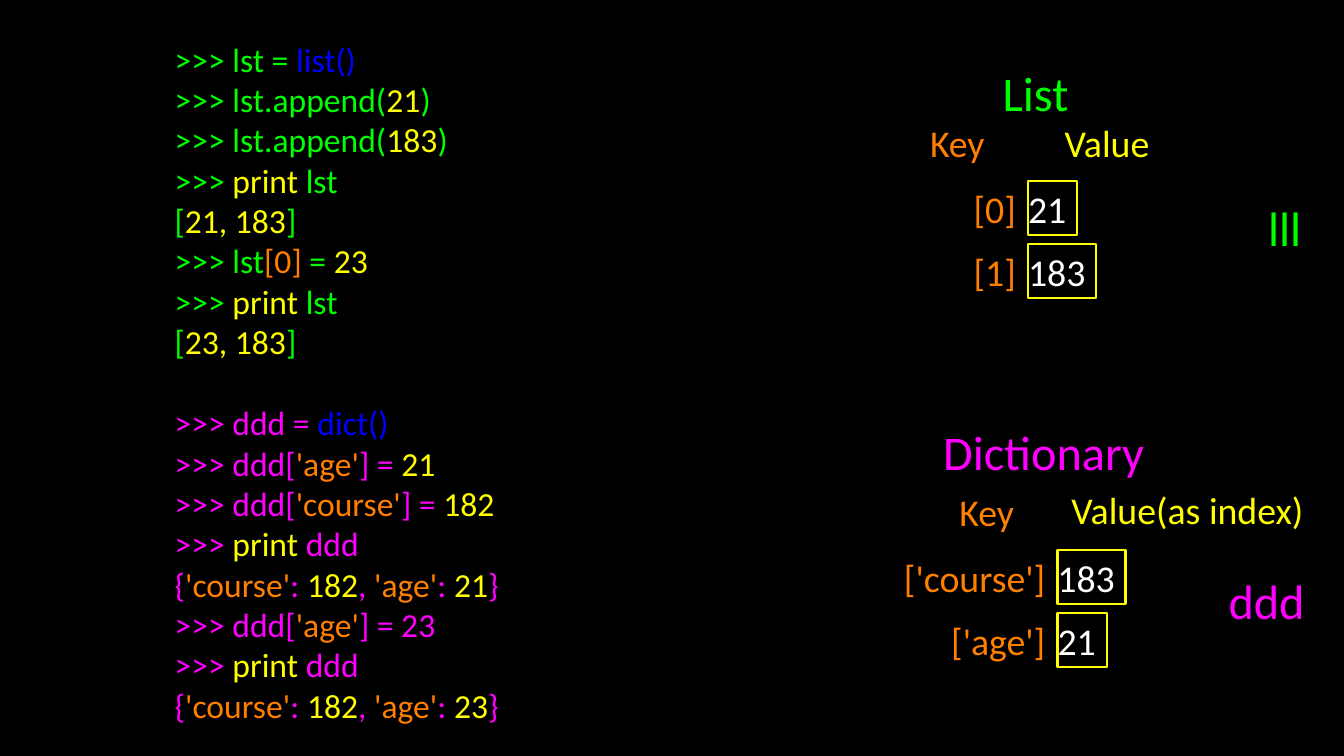
import pptx
import pptx.util
import pptx.dml.color
import pptx.enum.text
import pptx.enum.shapes

Inches = pptx.util.Inches
RGBColor = pptx.dml.color.RGBColor
ALIGN = pptx.enum.text.PP_ALIGN
LEFT, MID, RIGHT = ALIGN.LEFT, ALIGN.CENTER, ALIGN.RIGHT

BLACK = RGBColor(0, 0, 0)
WHITE = RGBColor(255, 255, 255)
GREEN = RGBColor(0, 255, 0)
BLUE = RGBColor(0, 0, 255)
YELLOW = RGBColor(255, 255, 0)
ORANGE = RGBColor(255, 127, 0)
PINK = RGBColor(255, 0, 255)
INKS = {"W": WHITE, "G": GREEN, "B": BLUE, "Y": YELLOW, "O": ORANGE, "P": PINK}

# Each run starts with the letter of its colour; "|" parts the runs.
LIST_CODE = [
    "G>>> lst =|B list()",
    "G>>> lst.append(|Y21|G)",
    "G>>> lst.append(|Y183|G)",
    "G>>> |Yprint|G lst",
    "G[|Y21, 183|G]",
    "G>>> lst|O[0]|G = |Y23",
    "G>>> |Yprint|G lst",
    "G[|Y23, 183|G]",
]
DICT_CODE = [
    "P>>> ddd = |Bdict()",
    "P>>> ddd[|O'age'|P] = |Y21",
    "P>>> ddd[|O'course'|P] = |Y182",
    "P>>> |Yprint|P ddd",
    "P{|O'course'|P: |Y182|P, |O'age'|P: |Y21|P}",
    "P>>> ddd[|O'age'|P] = 23",
    "P>>> |Yprint|P ddd",
    "P{|O'course'|P: |Y182|P, |O'age'|P: |Y23|P}",
]
CODES = [(LIST_CODE, (2.31, 0.49, 3.7, 4.31)), (DICT_CODE, (2.31, 5.3, 4.47, 4.31))]

# text, size, (left, top, width, height)
LABELS = [
    ("GList", 46, (13.18, 0.79, 1.04, 0.85)),
    ("OKey", 36, (12.23, 1.54, 0.87, 0.68)),
    ("YValue", 36, (14.04, 1.54, 1.21, 0.68)),
    ("Glll", 46, (16.72, 2.58, 0.55, 0.85)),
    ("PDictionary", 46, (12.37, 5.54, 2.87, 0.85)),
    ("OKey", 36, (12.62, 6.42, 0.87, 0.68)),
    ("YValue(as index)", 36, (14.16, 6.43, 3.1, 0.61)),
    ("Pddd", 46, (16.21, 7.51, 1.09, 0.85)),
]

# left and top of the value boxes, then rows of key, key width, value, box width
MAPS = [
    (13.6, 2.4, [("O[0]", 0.71, "W21", 0.65), ("O[1]", 0.71, "W183", 0.9)]),
    (13.99, 7.28, [("O['course']", 2.02, "W183", 0.9), ("O['age']", 1.31, "W21", 0.65)]),
]
STEP, GAP = 0.83, 0.16

deck = pptx.Presentation()
deck.slide_width, deck.slide_height = Inches(17.78), Inches(10)
slide = deck.slides.add_slide(deck.slide_layouts[6])
slide.background.fill.solid()
slide.background.fill.fore_color.rgb = BLACK


def write(shape, lines, size, align):
    frame = shape.text_frame
    form = {
        "word_wrap": True,
        "vertical_anchor": pptx.enum.text.MSO_ANCHOR.MIDDLE,
        "margin_left": 0, "margin_right": 0, "margin_top": 0, "margin_bottom": 0,
    }
    for name, value in form.items():
        setattr(frame, name, value)
    for i, line in enumerate(lines):
        para = frame.add_paragraph() if i else frame.paragraphs[0]
        para.alignment = align
        for part in line.split("|"):
            run = para.add_run()
            run.text = part[1:]
            run.font.name = "Calibri"
            run.font.size = pptx.util.Pt(size)
            run.font.color.rgb = INKS[part[0]]


def label(lines, size, area, align):
    write(slide.shapes.add_textbox(*map(Inches, area)), lines, size, align)


def box(text, area):
    """Draw a value in a yellow frame."""
    rect = slide.shapes.add_shape(
        pptx.enum.shapes.MSO_SHAPE.RECTANGLE, *map(Inches, area))
    rect.shadow.inherit = False
    rect.fill.background()
    rect.line.color.rgb = YELLOW
    rect.line.width = pptx.util.Pt(2)
    write(rect, [text], 36, LEFT)


for lines, area in CODES:
    label(lines, 32, area, LEFT)
for text, size, area in LABELS:
    label([text], size, area, MID)
for left, top, rows in MAPS:
    for i, (key, wide, value, width) in enumerate(rows):
        y = top + i * STEP
        label([key], 36, (left - GAP - wide, y + 0.02, wide, 0.68), RIGHT)
        box(value, (left, y, width, 0.71))

deck.save("out.pptx")
